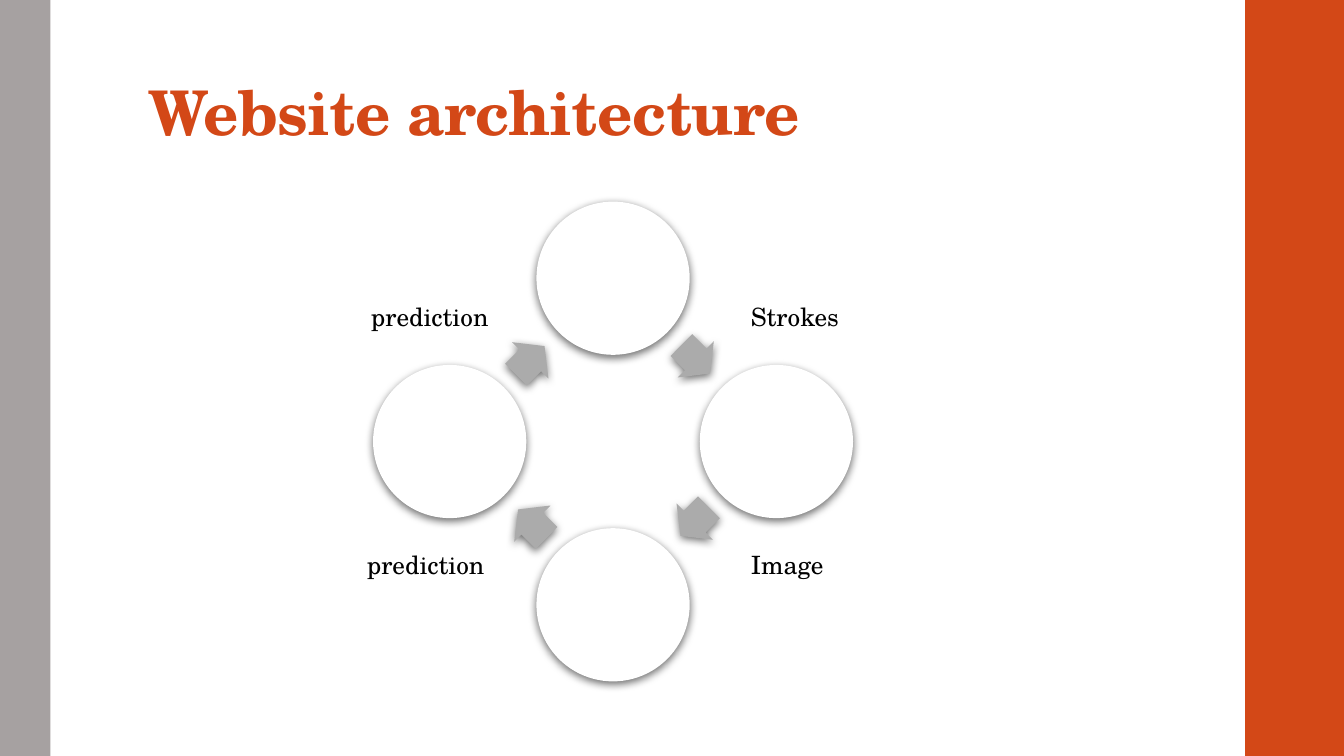
from math import cos, radians, sin

from lxml import etree
from pptx import Presentation
from pptx.dml.color import RGBColor
from pptx.enum.shapes import MSO_SHAPE
from pptx.enum.text import MSO_ANCHOR, MSO_AUTO_SIZE, PP_ALIGN
from pptx.oxml.ns import qn
from pptx.util import Inches, Pt

RECTANGLE = MSO_SHAPE.RECTANGLE
OVAL = MSO_SHAPE.OVAL
RIGHT_ARROW = MSO_SHAPE.RIGHT_ARROW
BOTTOM = MSO_ANCHOR.BOTTOM
LEFT = PP_ALIGN.LEFT
FIT_SHAPE = MSO_AUTO_SIZE.SHAPE_TO_FIT_TEXT
FONT = "TeX Gyre Schola"
COLORS = {
    "accent": "D34817",
    "side": "A6A1A1",
    "circle": "FFFFFF",
    "arrow": "ABABAB",
    "text": "000000",
    "shadow": "000000",
}


def add_filled(shapes, kind, left, top, width, height, color, shadow=False):
    shape = shapes.add_shape(kind, Inches(left), Inches(top), Inches(width), Inches(height))
    shape.fill.solid()
    shape.fill.fore_color.rgb = RGBColor.from_string(COLORS[color])
    shape.line.fill.background()
    shape.shadow.inherit = False
    if shadow:
        effects = shape.element.spPr.find(qn("a:effectLst"))
        outer = etree.SubElement(
            effects, qn("a:outerShdw"), blurRad=str(Pt(6)), dist=str(Pt(2)),
            dir="5400000", algn="ctr", rotWithShape="0",
        )
        tint = etree.SubElement(outer, qn("a:srgbClr"), val=COLORS["shadow"])
        etree.SubElement(tint, qn("a:alpha"), val="55000")
    return shape


def add_styled_run(paragraph, text, size, color):
    run = paragraph.add_run()
    run.text = text
    run.font.name = FONT
    run.font.size = Pt(size)
    run.font.color.rgb = RGBColor.from_string(COLORS[color])
    return run


presentation = Presentation()
presentation.slide_width = Inches(13.33)
presentation.slide_height = Inches(7.5)
slide = presentation.slides.add_slide(presentation.slide_layouts[5])

add_filled(slide.shapes, RECTANGLE, 12.35, 0, 1, 7.5, "accent")
add_filled(slide.shapes, RECTANGLE, 0, 0, 0.5, 7.5, "side")

title = slide.shapes.title
title.left, title.top = Inches(1.37), Inches(0)
title.width, title.height = Inches(10.6), Inches(1.53)
title_frame = title.text_frame
title_frame.word_wrap = True
title_frame.auto_size = MSO_AUTO_SIZE.NONE
title_frame.vertical_anchor = BOTTOM
title_frame.margin_left = title_frame.margin_right = Inches(0.1)
title_frame.margin_top, title_frame.margin_bottom = Inches(0.03), Inches(0.05)
title_paragraph = title_frame.paragraphs[0]
title_paragraph.alignment = LEFT
title_paragraph.line_spacing = 0.9
title_run = add_styled_run(title_paragraph, "Website architecture", 44, "accent")
title_run.font.bold = True
title_run.font._element.set("spc", "-50")

cycle = slide.shapes.add_group_shape()
center_x, center_y, radius, diameter = 6.08, 4.38, 1.62, 1.52
arrow_places = [(6.7, 3.31), (6.69, 4.92), (5.08, 4.94), (5.06, 3.32)]
for step, (arrow_left, arrow_top) in enumerate(arrow_places):
    angle = radians(90 * step - 90)
    circle_left = center_x + radius * cos(angle) - diameter / 2
    circle_top = center_y + radius * sin(angle) - diameter / 2
    add_filled(cycle.shapes, OVAL, circle_left, circle_top, diameter, diameter, "circle", True)
    arrow = add_filled(cycle.shapes, RIGHT_ARROW, arrow_left, arrow_top, 0.4, 0.51, "arrow", True)
    arrow.adjustments[0] = 0.6
    arrow.adjustments[1] = 0.5
    arrow.rotation = 45 + 90 * step

labels = [
    ("Strokes", 7.35, 2.94, 1.97),
    ("Image", 7.35, 5.4, 1.2),
    ("prediction", 3.54, 5.4, 1.58),
    ("prediction", 3.58, 2.94, 1.58),
]
for text, left, top, width in labels:
    label = slide.shapes.add_textbox(Inches(left), Inches(top), Inches(width), Inches(0.4))
    label.text_frame.word_wrap = True
    label.text_frame.auto_size = FIT_SHAPE
    add_styled_run(label.text_frame.paragraphs[0], text, 18, "text")

presentation.save("out.pptx")
